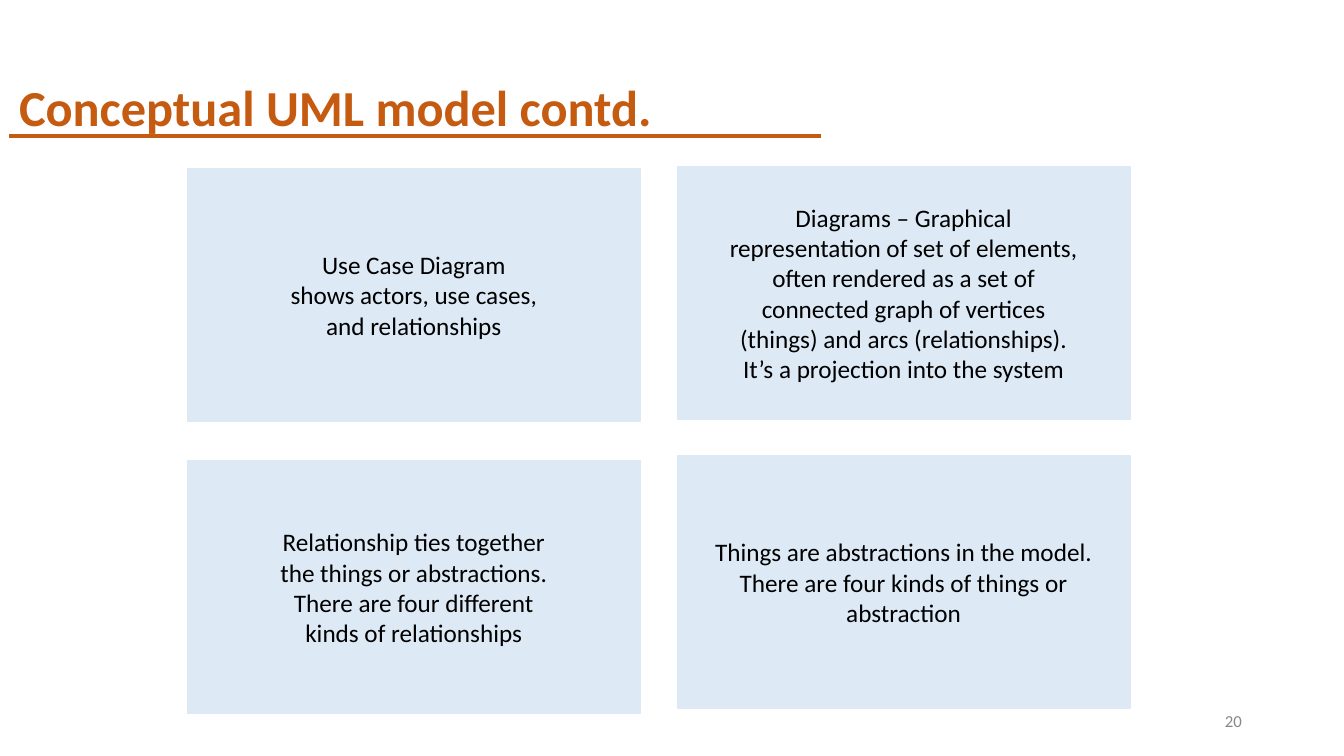
import pptx
import pptx.dml.color
import pptx.enum.shapes
import pptx.enum.text
import pptx.oxml.ns
import pptx.util
from lxml import etree

Pt = pptx.util.Pt
ALIGN = pptx.enum.text.PP_ALIGN
ANCHOR = pptx.enum.text.MSO_ANCHOR

TITLE = "Conceptual UML model contd."
PAGE_NUMBER = "20"
# Each column: left edge, then (top edge, lines) for each card
COLUMNS = [
    (133.9, [
        (120.2, ["Use Case Diagram",
                 "shows actors, use cases,",
                 "and relationships"]),
        (329, ["Relationship ties together",
               "the things or abstractions.",
               "There are four different",
               "kinds of relationships"]),
    ]),
    (483.8, [
        (118.8, ["Diagrams – Graphical",
                 "representation of set of elements,",
                 "often rendered as a set of",
                 "connected graph of vertices",
                 "(things) and arcs (relationships).",
                 "It’s a projection into the system"]),
        (325.4, ["Things are abstractions in the model.",
                 "There are four kinds of things or",
                 "abstraction"]),
    ]),
]
CARD_W, CARD_H = 323.3, 180.7
COLORS = {"accent": "C55A11", "card": "DDEAF6", "text": "000000", "number": "888888"}
FONT = "Calibri"


def rgb(name):
    return pptx.dml.color.RGBColor.from_string(COLORS[name])


def write_text(sp, lines, size=18, color="text", bold=False,
               align=ALIGN.LEFT, anchor=ANCHOR.MIDDLE):
    """Fill a shape with one paragraph per line."""
    tf = sp.text_frame
    tf.word_wrap = True
    tf.vertical_anchor = anchor
    for i, line in enumerate(lines):
        p = tf.add_paragraph() if i else tf.paragraphs[0]
        p.alignment = align
        r = p.add_run()
        r.text = line
        r.font.name = FONT
        r.font.size = Pt(size)
        r.font.bold = bold
        r.font.color.rgb = rgb(color)


def add_text(s, box, lines, **style):
    write_text(s.shapes.add_textbox(*map(Pt, box)), lines, **style)


def add_rule(s, left, right, y):
    line = s.shapes.add_connector(pptx.enum.shapes.MSO_CONNECTOR.STRAIGHT,
                                  Pt(left), Pt(y), Pt(right), Pt(y))
    line.line.color.rgb = rgb("accent")
    line.line.width = Pt(3)
    sp_pr = line._element.spPr
    etree.SubElement(sp_pr, pptx.oxml.ns.qn("a:effectLst"))


def add_card(s, left, top, lines):
    sp = s.shapes.add_shape(pptx.enum.shapes.MSO_SHAPE.RECTANGLE,
                            Pt(left), Pt(top), Pt(CARD_W), Pt(CARD_H))
    sp.shadow.inherit = False
    sp.fill.solid()
    sp.fill.fore_color.rgb = rgb("card")
    sp.line.color.rgb = rgb("card")
    sp.line.width = Pt(1)
    write_text(sp, lines, align=ALIGN.CENTER)


def main():
    prs = pptx.Presentation()
    prs.slide_width, prs.slide_height = Pt(960), Pt(540)
    s = prs.slides.add_slide(prs.slide_layouts[6])
    add_text(s, (6.5, 51.1, 540.7, 36), [TITLE], size=36, color="accent",
             bold=True, anchor=ANCHOR.TOP)
    add_rule(s, 6.5, 586.1, 97.2)
    add_text(s, (678.2, 500.4, 216, 28.8), [PAGE_NUMBER], size=12,
             color="number", align=ALIGN.RIGHT)
    for left, cards in COLUMNS:
        for top, lines in cards:
            add_card(s, left, top, lines)
    prs.save("out.pptx")


if __name__ == "__main__":
    main()
